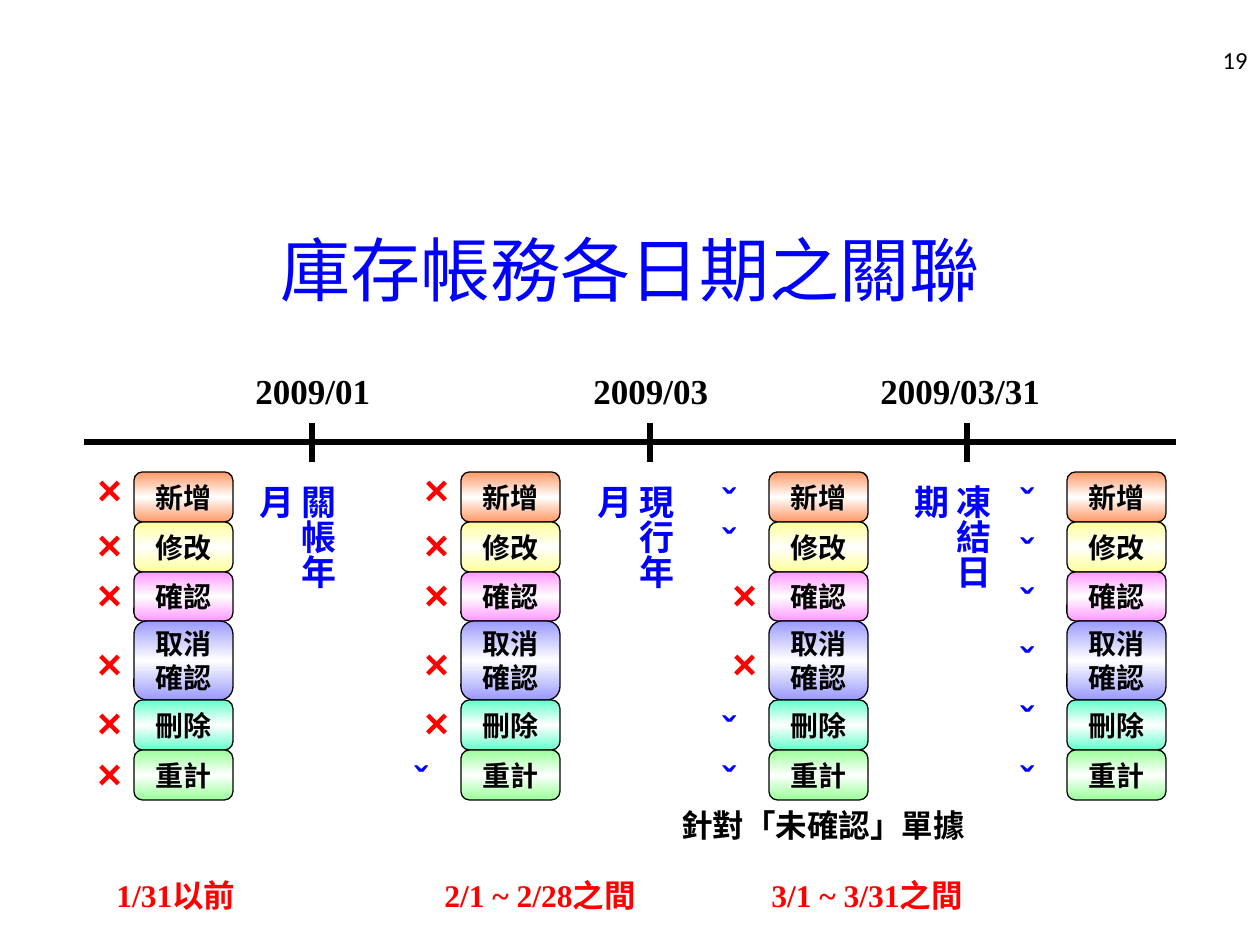
from copy import deepcopy
from lxml.etree import SubElement
from pptx import Presentation
from pptx.dml.color import RGBColor
from pptx.enum.shapes import MSO_CONNECTOR as CONN, MSO_SHAPE as SHAPE
from pptx.enum.text import MSO_ANCHOR as ANCHOR, PP_ALIGN as ALIGN
from pptx.oxml.ns import qn
from pptx.util import Emu, Pt

PX = 914400 // 126
RED, BLUE, BLACK = "FF0000", "0000FF", "000000"
SERIF, SANS = "Times New Roman", "Arial"

prs = Presentation()
prs.slide_width, prs.slide_height = Emu(1260 * PX), Emu(945 * PX)
slide = prs.slides.add_slide(prs.slide_layouts[6])
shapes = slide.shapes


def rgb(value):
    return RGBColor.from_string(value)


def write(shape, text, size, color, font=SANS, bold=True, align=ALIGN.LEFT,
          anchor=ANCHOR.TOP, wrap=True):
    frame = shape.text_frame
    frame.text = text
    frame.word_wrap = wrap
    frame.vertical_anchor = anchor
    for paragraph in frame.paragraphs:
        paragraph.alignment = align
        paragraph.font.size = Pt(size)
        paragraph.font.name = font
        paragraph.font.bold = bold
        paragraph.font.color.rgb = rgb(color)
    return frame


page_number = shapes.add_textbox(966 * PX, 35 * PX, 294 * PX, 50 * PX)
write(page_number, "19", 14, BLACK, "Calibri", False, ALIGN.RIGHT, ANCHOR.MIDDLE)
title = shapes.add_textbox(95 * PX, 167 * PX, 1070 * PX, 203 * PX)
write(title, "庫存帳務各日期之關聯", 40, BLUE, SERIF, False, ALIGN.CENTER, ANCHOR.MIDDLE)

milestones = [
    (312, "2009/01", 243, 149, "關帳年月"),
    (650, "2009/03", 581, 149, "現行年月"),
    (967, "2009/03/31", 868, 208, "凍結日期"),
]
timeline = [(84, 442, 1176, 442)] + [(x, 423, x, 462) for x, *_ in milestones]
for ends in timeline:
    stroke = shapes.add_connector(CONN.STRAIGHT, *(end * PX for end in ends))
    stroke.line.color.rgb = rgb(BLACK)
    stroke.line.width = Pt(3)
    SubElement(stroke._element.spPr, qn("a:effectLst"))

for x, date, date_left, date_width, meaning in milestones:
    date_label = shapes.add_textbox(date_left * PX, 363 * PX, date_width * PX, 54 * PX)
    write(date_label, date, 20, BLACK, SERIF)
    meaning_label = shapes.add_textbox((x - 34) * PX, 472 * PX, 67 * PX, 159 * PX)
    meaning_frame = write(meaning_label, meaning, 20, BLUE)
    meaning_frame._txBody.bodyPr.set("vert", "eaVert")

actions = [
    ("新增", "FF9966", 472, 50),
    ("修改", "FFFF99", 522, 50),
    ("確認", "FF99FF", 572, 49),
    ("取消\n確認", "9999FF", 621, 79),
    ("刪除", "66FFCC", 700, 50),
    ("重計", "99FF99", 750, 50),
]
cross_tops = [457, 512, 562, 631, 690, 741]
check_tops = [472, 522, 572, 631, 690, 750]
periods = [
    (134, cross_tops, []),
    (461, cross_tops[:5], [750]),
    (769, cross_tops[2:4], [472, 512, 700, 750]),
    (1067, [], check_tops),
]
for left, crosses, checks in periods:
    for action, tint, top, height in actions:
        button = shapes.add_shape(SHAPE.ROUNDED_RECTANGLE, left * PX, top * PX,
                                  99 * PX, height * PX)
        button.shadow.inherit = False
        button.fill.gradient()
        button.fill.gradient_angle = 90
        stops = button._element.spPr.find(".//" + qn("a:gsLst"))
        stops.insert(1, deepcopy(stops[0]))
        for stop, color, position in zip(button.fill.gradient_stops,
                                         (tint, "FFFFFF", tint), (0, 0.5, 1)):
            stop.color.rgb = rgb(color)
            stop.position = position
        button.line.color.rgb = rgb(BLACK)
        button.line.width = Pt(0.75)
        write(button, action, 16, BLACK, align=ALIGN.CENTER,
              anchor=ANCHOR.MIDDLE, wrap=False)
    for mark, tops, offset, size, color in [("×", crosses, 49, 24, RED),
                                            ("ˇ", checks, 59, 22, BLUE)]:
        for top in tops:
            mark_label = shapes.add_textbox((left - offset) * PX, top * PX, 59 * PX, 60 * PX)
            write(mark_label, mark, size, color)

captions = [
    ("針對「未確認」單據", 669, 800, 318, BLACK, SANS),
    ("1/31以前", 104, 870, 208, RED, SERIF),
    ("2/1 ~ 2/28之間", 432, 870, 248, RED, SERIF),
    ("3/1 ~ 3/31之間", 759, 870, 248, RED, SERIF),
]
for caption, left, top, width, color, font in captions:
    caption_label = shapes.add_textbox(left * PX, top * PX, width * PX, 50 * PX)
    write(caption_label, caption, 18, color, font)

prs.save("out.pptx")
